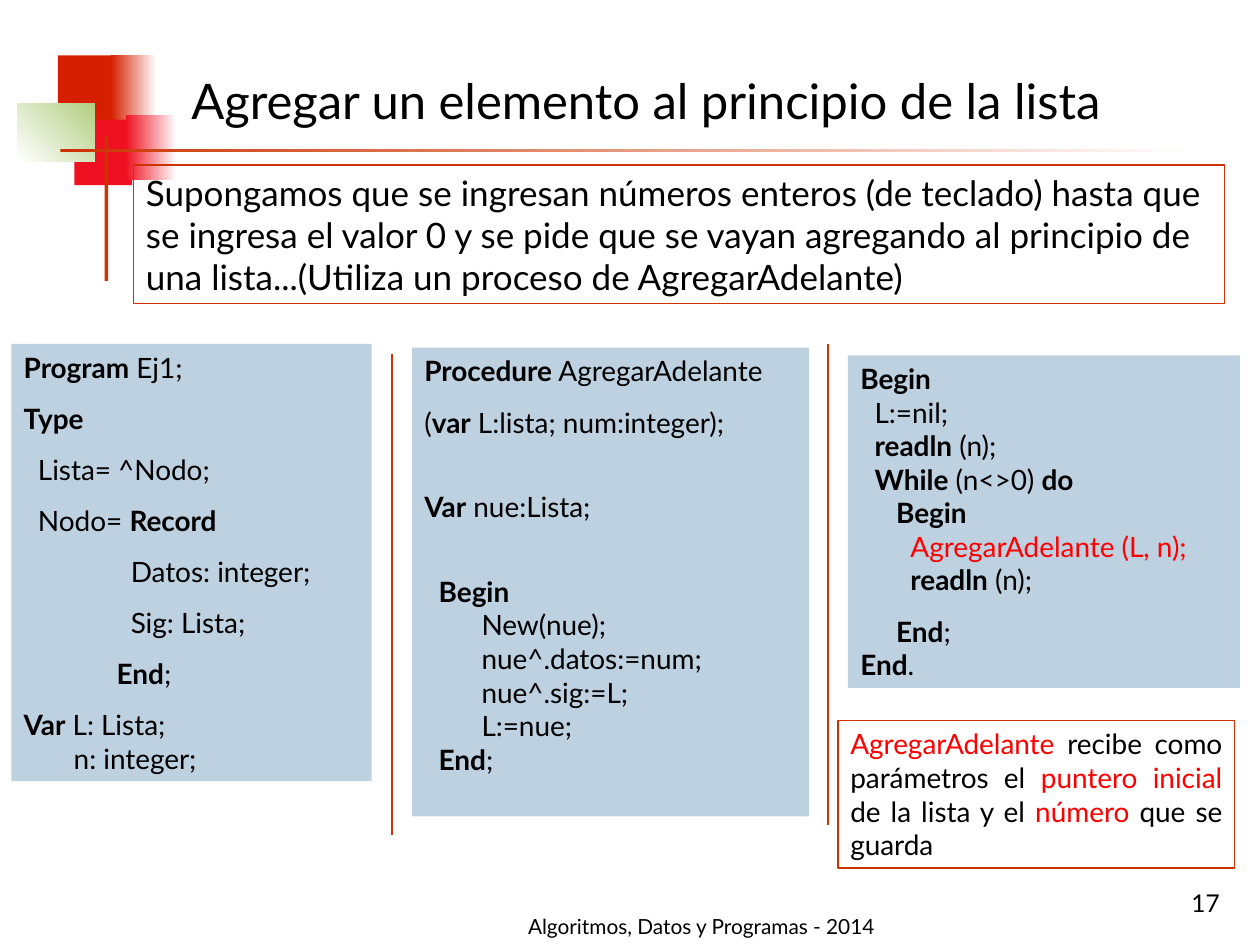
import pptx
import pptx.util
import pptx.dml.color
import pptx.enum.shapes
import pptx.enum.text
import pptx.oxml.ns
import lxml.etree

Inches = pptx.util.Inches
Align = pptx.enum.text.PP_ALIGN
Anchor = pptx.enum.text.MSO_ANCHOR

FONT = "Lato"
BLACK, RED, WHITE = "000000", "FF0000", "FFFFFF"
ACCENT, PANEL = "CC3300", "BED1E0"

TYPES_CODE = [
    "*Program* Ej1;",
    "*Type*",
    "  Lista= ^Nodo;",
    "  Nodo= *Record*",
    "               Datos: integer;",
    "               Sig: Lista;",
    "             *End*;",
    "*Var* L: Lista;\n       n: integer;",
]
PROCEDURE_CODE = [
    "*Procedure* AgregarAdelante",
    "(*var* L:lista; num:integer);",
    "*Var* nue:Lista;",
    "  *Begin*\n        New(nue);\n        nue^.datos:=num;\n"
    "        nue^.sig:=L;\n        L:=nue;\n  *End*;",
]
MAIN_CODE = [
    "*Begin*\n  L:=nil;\n  *readln* (n);\n  *While* (n<>0) *do*\n     *Begin*\n"
    "       ~AgregarAdelante (L, n);~\n       *readln* (n);",
    "     *End*;\n*End*.",
]
STATEMENT = ("Supongamos que se ingresan números enteros (de teclado) hasta que se ingresa "
             "el valor 0 y se pide que se vayan agregando al principio de una lista..."
             "(Utiliza un proceso de AgregarAdelante)")
NOTE = ("~AgregarAdelante~ recibe como parámetros el ~puntero inicial~ de la lista "
        "y el ~número~ que se guarda")


def color(value):
    """Turn a hex string into a colour."""
    return pptx.dml.color.RGBColor.from_string(value)


def add_styled_text(paragraph, text, size):
    """Add text in which * toggles bold, ~ toggles red and a newline breaks the line."""
    bold = red = False
    piece = ""
    for character in text + "\0":
        if character not in "*~\n\0":
            piece += character
            continue
        if piece:
            run = paragraph.add_run()
            run.text = piece
            run.font.name = FONT
            run.font.size = pptx.util.Pt(size)
            run.font.bold = bold
            run.font.color.rgb = color(RED if red else BLACK)
            piece = ""
        if character == "\n":
            paragraph.add_line_break()
        bold ^= character == "*"
        red ^= character == "~"


def write(shape, paragraphs, size=16, align=Align.LEFT, anchor=Anchor.TOP, gaps=(), spacing=None):
    """Fill a shape with formatted paragraphs, gaps being the space before each later one."""
    frame = shape.text_frame
    frame.word_wrap = True
    frame.vertical_anchor = anchor
    for index, text in enumerate(paragraphs):
        paragraph = frame.paragraphs[0] if index == 0 else frame.add_paragraph()
        paragraph.alignment = align
        paragraph.line_spacing = spacing
        if index:
            paragraph.space_before = pptx.util.Pt(gaps[index - 1])
        paragraph.font.size = pptx.util.Pt(size)
        add_styled_text(paragraph, text, size)


def add_text(slide, box, text, **text_format):
    """Add a plain text box."""
    write(slide.shapes.add_textbox(*map(Inches, box)), [text], **text_format)


def add_box(slide, box, fill=None, line=None, line_width=1, fade=None, angle=0):
    """Add a rectangle with a solid fill, a fade between two colours or no fill."""
    kind = pptx.enum.shapes.MSO_SHAPE.RECTANGLE
    shape = slide.shapes.add_shape(kind, *map(Inches, box))
    shape.shadow.inherit = False
    if fade:
        shape.fill.gradient()
        shape.fill.gradient_angle = angle
        for stop, value in zip(shape.fill.gradient_stops, fade):
            stop.color.rgb = color(value)
    elif fill:
        shape.fill.solid()
        shape.fill.fore_color.rgb = color(fill)
    else:
        shape.fill.background()
    if line:
        shape.line.color.rgb = color(line)
        shape.line.width = pptx.util.Pt(line_width)
    else:
        shape.line.fill.background()
    return shape


def add_ornament(slide, box):
    """Draw the overlapping squares and the crossing bars."""
    left, top, width, height = box
    scarlet, crimson, green = "D61F00", "EF1121", "B3CE82"
    add_box(slide, (left + 0.32, top, 0.48, 0.52), fill=scarlet)
    add_box(slide, (left + 0.74, top, 0.36, 0.52), fade=(scarlet, WHITE))
    add_box(slide, (left + 0.45, top + 0.51, 0.46, 0.52), fill=crimson)
    add_box(slide, (left + 0.86, top + 0.47, 0.4, 0.52), fade=(crimson, WHITE))
    add_box(slide, (left, top + 0.38, 0.61, 0.46), fade=(WHITE, green), angle=45)
    add_box(slide, (left + 0.69, top + 0.64, 0.03, height - 0.64), fill=ACCENT)
    add_box(slide, (left + 0.34, top + 0.74, width - 0.34, 0.03), fade=(ACCENT, WHITE))


def add_divider(slide, left, top, height):
    """Draw a vertical line between two code columns."""
    kind = pptx.enum.shapes.MSO_CONNECTOR.STRAIGHT
    ends = map(Inches, (left, top, left, top + height))
    connector = slide.shapes.add_connector(kind, *ends)
    connector.line.color.rgb = color(ACCENT)
    connector.line.width = pptx.util.Pt(1)
    properties = connector.element.find(pptx.oxml.ns.qn("p:spPr"))
    lxml.etree.SubElement(properties, pptx.oxml.ns.qn("a:effectLst"))


def add_code_columns(slide, box):
    """Place the three code panels and the dividers between them."""
    left, top, width, height = box
    columns = [
        ((left, top, 2.86, 3.47), TYPES_CODE, [10] * 7),
        ((left + 3.18, top + 0.03, 3.15, 3.72), PROCEDURE_CODE, [10, 29.2, 29.2]),
        ((left + width - 3.11, top + 0.09, 3.11, 2.64), MAIN_CODE, [10]),
    ]
    for panel, code, gaps in columns:
        write(add_box(slide, panel, fill=PANEL), code, gaps=gaps)
    add_divider(slide, left + 3.02, top + 0.08, height - 0.08)
    add_divider(slide, left + 6.48, top, height - 0.08)


def add_footer(slide, box):
    """Write the course name in the middle and the slide number at the right."""
    left, top, width, height = box
    add_text(slide, (left, top + 0.17, 3.17, 0.5), "Algoritmos, Datos y Programas - 2014",
             size=11.9, align=Align.CENTER, anchor=Anchor.BOTTOM, spacing=0.9)
    add_text(slide, (left + width - 2.08, top, 2.08, 0.5), "17",
             size=14, align=Align.RIGHT, anchor=Anchor.BOTTOM)


def main():
    """Build the slide and save it."""
    presentation = pptx.Presentation()
    presentation.slide_width, presentation.slide_height = Inches(10), Inches(7.5)
    slide = presentation.slides.add_slide(presentation.slide_layouts[6])
    add_ornament(slide, (0.14, 0.44, 9.34, 1.79))
    add_footer(slide, (3.98, 6.83, 5.8, 0.67))
    add_code_columns(slide, (0.09, 2.73, 9.75, 3.9))
    write(add_box(slide, (1.06, 1.31, 8.66, 1.1), line=ACCENT), [STATEMENT], size=20)
    add_text(slide, (1.42, 0.23, 8.28, 1.12), "Agregar un elemento al principio de la lista",
             size=28, anchor=Anchor.MIDDLE)
    note = add_box(slide, (6.65, 5.72, 3.15, 1.17), line=ACCENT, line_width=0.75)
    write(note, [NOTE], align=Align.JUSTIFY)
    presentation.save("out.pptx")


if __name__ == "__main__":
    main()
